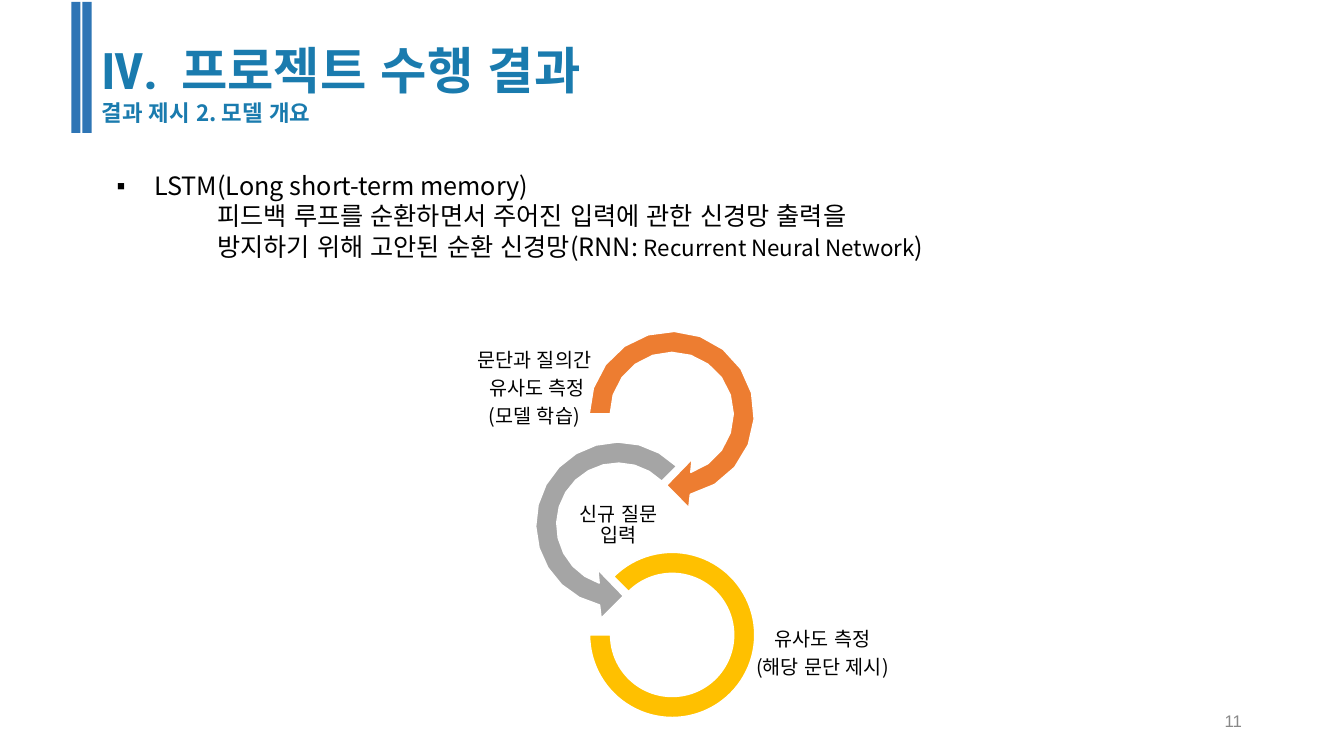
from math import cos, radians, sin

from lxml.etree import SubElement
from pptx import Presentation
from pptx.dml.color import RGBColor
from pptx.enum.lang import MSO_LANGUAGE_ID as Language
from pptx.enum.shapes import MSO_SHAPE as Preset
from pptx.enum.text import MSO_ANCHOR as Anchor, PP_ALIGN as Align
from pptx.oxml.ns import qn
from pptx.util import Cm, Pt

KOREAN = "Noto Sans CJK KR"
OUTER, INNER = 2.08, 1.55
ARROW_TIP = [(0.43, 2.36), (-0.13, 1.8), (0.51, 1.14)]
ARC_STEPS = 14


def paint(shape, fill, line=None):
    shape.shadow.inherit = False
    shape.fill.solid()
    shape.fill.fore_color.rgb = RGBColor.from_string(fill)
    if line:
        shape.line.color.rgb = RGBColor.from_string(line)
        shape.line.width = Pt(1)
    else:
        shape.line.fill.background()


def add_text(shapes, place, paragraphs, color, frame_format, para_format):
    """Add a text box; each paragraph is a list of (text, size, font, bold)."""
    box = shapes.add_textbox(*[Cm(length) for length in place])
    frame = box.text_frame
    for name, value in {"word_wrap": True, **frame_format}.items():
        setattr(frame, name, value)
    for index, spans in enumerate(paragraphs):
        para = frame.paragraphs[0] if index == 0 else frame.add_paragraph()
        for name, value in para_format.items():
            if name != "space_before" or index > 0:
                setattr(para, name, value)
        for text, size, font, bold in spans:
            span = para.add_run()
            span.text = text
            span.font.color.rgb = RGBColor.from_string(color)
            for name, value in {"size": Pt(size), "name": font, "bold": bold,
                                "language_id": Language.KOREAN}.items():
                setattr(span.font, name, value)
            SubElement(span.font._element, qn("a:ea"), typeface=KOREAN)
    return frame


deck = Presentation()
deck.slide_width, deck.slide_height = Cm(33.87), Cm(19.05)
page = deck.slides.add_slide(deck.slide_layouts[6])

# Heading
add_text(page.shapes, (2.31, 0.86, 18.9, 2.49), [
    [("Ⅳ.  프로젝트 수행 결과", 36, "Roboto Condensed", True)],
    [("결과 ", 16, "Roboto Condensed", True), ("제시 2. 모델 개요", 16, KOREAN, True)],
], "1A7BAE", {}, {})
bars = page.shapes.add_group_shape()
for left in (1.8, 2.08):
    bar = bars.shapes.add_shape(Preset.RECTANGLE, Cm(left), Cm(0.05), Cm(0.23), Cm(3.3))
    paint(bar, "2E75B5")

# Description
description = add_text(page.shapes, (2.69, 4.17, 26.54, 4.11), [
    [("LSTM(Long short-term memory)", 18, KOREAN, False)],
    [("피드백 루프를 순환하면서 주어진 입력에 관한 신경망 출력을", 18, KOREAN, False)],
    [("방지하기 위해 고안된 순환 신경망(RNN: ", 18, KOREAN, False),
     ("Recurrent Neural Network", 16, KOREAN, False), (")", 18, KOREAN, False)],
], "000000", {}, {})
for index, para in enumerate(description.paragraphs):
    properties = para._p.get_or_add_pPr()
    if index == 0:
        properties.set("marL", str(Cm(0.95)))
        properties.set("indent", str(Cm(-0.95)))
        SubElement(properties, qn("a:buFont"), typeface="Arial")
        SubElement(properties, qn("a:buChar"), char="▪")
    else:
        properties.set("marL", str(Cm(2.54)))

# Cycle: two circular arrows, the second one mirrored, and an open ring
cycle = page.shapes.add_group_shape()
for center_x, center_y, side, start, color in [
    (16.93, 10.43, 1, 180, "ED7D31"),
    (15.58, 13.22, -1, 225, "A5A5A5"),
]:
    arcs = []
    for radius, end in ((OUTER, 437), (INNER, 432)):
        angles = [radians(start + (end - start) * step / ARC_STEPS)
                  for step in range(ARC_STEPS + 1)]
        arcs.append([(radius * cos(angle), radius * sin(angle)) for angle in angles])
    outline = arcs[0] + ARROW_TIP + arcs[1][::-1]
    points = [(Cm(center_x + side * x), Cm(center_y + y)) for x, y in outline]
    builder = cycle.shapes.build_freeform(*points[0])
    builder.add_line_segments(points[1:], close=True)
    paint(builder.convert_to_shape(), color, "FFFFFF")

ring = cycle.shapes.add_shape(Preset.BLOCK_ARC, Cm(16.94 - OUTER), Cm(16 - OUTER),
                              Cm(2 * OUTER), Cm(2 * OUTER))
for index, value in enumerate((135, 108, 0.127)):
    ring.adjustments[index] = value
paint(ring, "FFC000", "FFFFFF")

label_frame = {"vertical_anchor": Anchor.MIDDLE}
for margin in ("left", "right", "top", "bottom"):
    label_frame[f"margin_{margin}"] = Cm(0.03)
label_para = {"alignment": Align.CENTER, "line_spacing": 0.9, "space_before": Pt(4.9)}
for left, top, width, lines in [
    (9.63, 9.14, 7.67, ["문단과 질의간", " 유사도 측정", "(모델 학습)"]),
    (14.25, 12.57, 2.69, ["신규 질문 입력"]),
    (17.83, 15.8, 5.79, ["유사도 측정", "(해당 문단 제시)"]),
]:
    add_text(cycle.shapes, (left, top, width, 1.35),
             [[(line, 14, KOREAN, False)] for line in lines],
             "000000", label_frame, label_para)

# Page number
add_text(page.shapes, (23.93, 17.65, 7.62, 1.02), [[("11", 12, "Arial", False)]],
         "888888", {"vertical_anchor": Anchor.MIDDLE}, {"alignment": Align.RIGHT})

deck.save("out.pptx")
